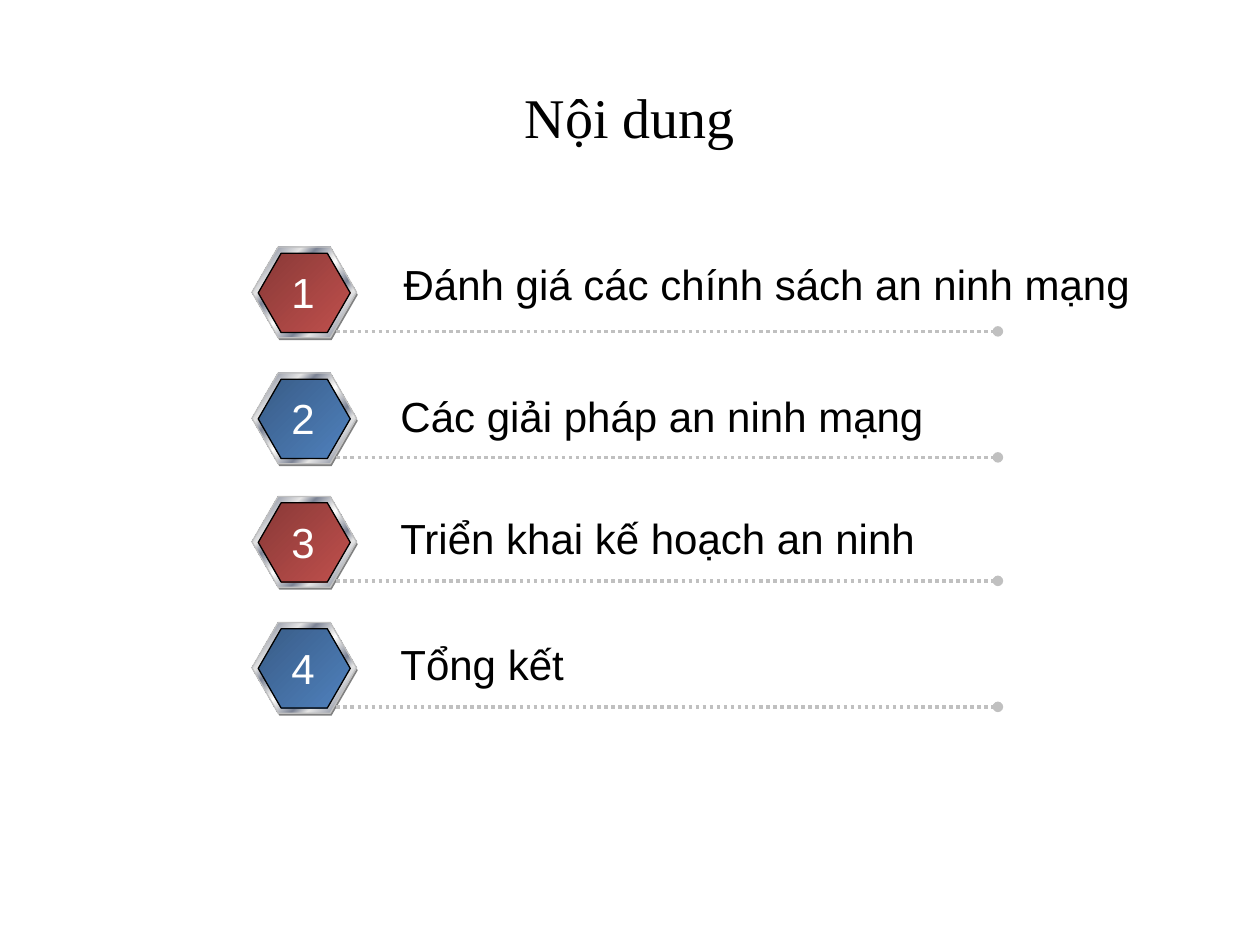
from lxml import etree
from pptx import Presentation
from pptx import util as u
from pptx.dml.color import RGBColor
from pptx.enum import dml, shapes, text
from pptx.oxml import ns

COLORS = {
    "black": "000000", "white": "FFFFFF", "shadow": "808080", "silver": "C0C0C0",
    "light": "E6E6E6", "steel": "7D8496", "dark_red": "893937", "red": "C0504D",
    "dark_blue": "395C87", "blue": "4F81BD",
}
METAL = [(0, "light"), (7, "steel"), (26, "light"), (34, "steel"), (46, "light"), (50, "white"),
         (54, "light"), (66, "steel"), (74, "light"), (93, "steel"), (100, "light")]
RED = [(0, "dark_red"), (100, "red")]
BLUE = [(0, "dark_blue"), (100, "blue")]
LEFT, CENTER = text.PP_ALIGN.LEFT, text.PP_ALIGN.CENTER
AGENDA = [
    (1.96, RED, "Đánh giá các chính sách an ninh mạng", 3, 0.04, 6.17, CENTER),
    (2.96, BLUE, "Các giải pháp an ninh mạng", 3.08, 0.09, 5, LEFT),
    (3.94, RED, "Triển khai kế hoạch an ninh", 3.08, 0.08, 6, LEFT),
    (4.94, BLUE, "Tổng kết", 3.08, 0.08, 4.67, LEFT),
]


class AgendaSlide:
    """Draws agenda elements on a grid of 10 columns by 7.5 rows."""

    def __init__(self, presentation):
        self.cell = presentation.slide_width // 10
        self.slide = presentation.slides.add_slide(presentation.slide_layouts[5])

    def place(self, *lengths):
        return [u.Emu(round(length * self.cell)) for length in lengths]

    def color(self, name):
        return RGBColor.from_string(COLORS[name])

    def add_words(self, frame, words, size, font, color, align):
        paragraph = frame.paragraphs[0]
        paragraph.alignment = align
        run = paragraph.add_run()
        run.text = words
        run.font.size = u.Pt(size)
        run.font.name = font
        run.font.color.rgb = self.color(color)

    def title(self, words):
        shape = self.slide.shapes.title
        shape.left, shape.top, shape.width, shape.height = self.place(0.5, 0.3, 9, 1.25)
        shape.text_frame.vertical_anchor = text.MSO_ANCHOR.MIDDLE
        self.add_words(shape.text_frame, words, 32, "Times New Roman", "black", CENTER)

    def label(self, words, box, color, align, wrap):
        frame = self.slide.shapes.add_textbox(*self.place(*box)).text_frame
        frame.word_wrap = wrap
        frame.auto_size = text.MSO_AUTO_SIZE.SHAPE_TO_FIT_TEXT
        self.add_words(frame, words, 24, "Arial", color, align)

    def gradient(self, shape, stops):
        shape.fill.gradient()
        shape.fill.gradient_angle = 315
        stop_list = shape._element.spPr.find(".//" + ns.qn("a:gsLst"))
        for old_stop in list(stop_list):
            stop_list.remove(old_stop)
        for position, name in stops:
            stop = etree.SubElement(stop_list, ns.qn("a:gs"), pos=str(position * 1000))
            etree.SubElement(stop, ns.qn("a:srgbClr"), val=COLORS[name])

    def hexagon(self, group, box, fill, line=None):
        shape = group.shapes.add_shape(shapes.MSO_SHAPE.HEXAGON, *self.place(*box))
        shape.shadow.inherit = False
        shape.adjustments[0], shape.adjustments[1] = 0.289, 1.155
        if isinstance(fill, str):
            shape.fill.solid()
            shape.fill.fore_color.rgb = self.color(fill)
        else:
            self.gradient(shape, fill)
        if line:
            shape.line.color.rgb = self.color(line)
            shape.line.width = u.Pt(0.75)
        else:
            shape.line.fill.background()

    def badge(self, top, stops):
        group = self.slide.shapes.add_group_shape()
        self.hexagon(group, (2.01, top + 0.02, 0.83, 0.72), "shadow")
        self.hexagon(group, (2, top, 0.83, 0.72), METAL, "silver")
        self.hexagon(group, (2.05, top + 0.05, 0.73, 0.63), stops, "black")

    def rule(self, row):
        connector = self.slide.shapes.add_connector(
            shapes.MSO_CONNECTOR.STRAIGHT, *self.place(2.67, row, 7.92, row))
        connector.line.color.rgb = self.color("silver")
        connector.line.width = u.Pt(2)
        connector.line.dash_style = dml.MSO_LINE.ROUND_DOT
        etree.SubElement(connector.line._get_or_add_ln(), ns.qn("a:tailEnd"), type="oval")
        etree.SubElement(connector._element.spPr, ns.qn("a:effectLst"))


def main():
    presentation = Presentation()
    presentation.slide_width, presentation.slide_height = u.Inches(10), u.Inches(7.5)
    slide = AgendaSlide(presentation)
    slide.title("Nội dung")
    for number, (top, stops, words, left, drop, width, align) in enumerate(AGENDA, 1):
        slide.badge(top, stops)
        slide.rule(top + 0.67)
        slide.label(words, (left, top + drop, width, 0.5), "black", align, True)
        slide.label(str(number), (2.21, top + 0.11, 0.39, 0.5), "white", CENTER, False)
    presentation.save("out.pptx")


if __name__ == "__main__":
    main()
